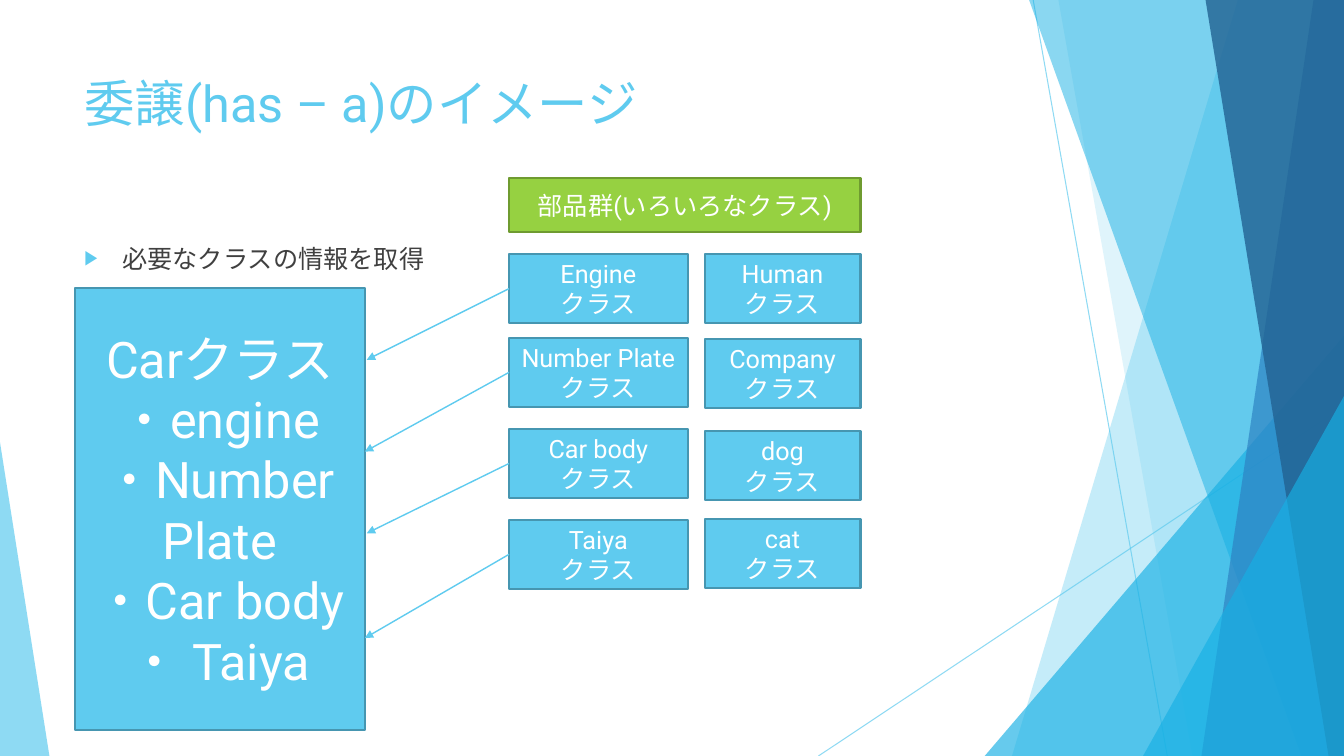
from lxml.etree import SubElement
from pptx import Presentation
from pptx.dml.color import RGBColor
from pptx.enum.shapes import MSO_CONNECTOR, MSO_SHAPE
from pptx.enum.text import MSO_ANCHOR, PP_ALIGN
from pptx.oxml.ns import qn
from pptx.util import Pt

# Content
TITLE = "委譲(has – a)のイメージ"
LEAD = "必要なクラスの情報を取得"
CAR_LINES = ["Carクラス", "・engine", "・Number Plate", "・Car body", "・ Taiya"]
PARTS_HEADING = "部品群(いろいろなクラス)"
CLASS_WORD = "クラス"
# Used part, its top, where its arrow ends
USED_PARTS = [
    ("Engine", 181.4, (262, 257)),
    ("Number Plate", 241.2, (260.6, 322.6)),
    ("Car body", 306.3, (262, 380.9)),
    ("Taiya", 371.2, (260.6, 455.8)),
]
OTHER_CLASSES = [("Human", 181.4), ("Company", 241.9), ("dog", 308), ("cat", 370.6)]

# Look
FONT = "Roboto"
SKY = RGBColor(0x5F, 0xCB, 0xEF)
SKY_EDGE = RGBColor(0x46, 0x96, 0xB1)
CYAN = RGBColor(0x17, 0xB0, 0xE4)
BLUE = RGBColor(0x2E, 0x83, 0xC3)
NAVY = RGBColor(0x22, 0x62, 0x92)
GREEN = RGBColor(0x96, 0xD1, 0x41)
GREEN_EDGE = RGBColor(0x6F, 0x9B, 0x30)
WHITE = RGBColor(0xFF, 0xFF, 0xFF)
GREY = RGBColor(0x40, 0x40, 0x40)

# Layout in points
WIDTH, HEIGHT = 960, 540
MARGIN = 53.3
CAR_BOX = (MARGIN, 205.9, 207.4, 315.4)
USED_LEFT, USED_WIDTH = 363.6, 127.6
OTHER_LEFT, OTHER_WIDTH = 503.3, 111.4
CLASS_HEIGHT = 49.5
HEADING_BOX = (USED_LEFT, 127.3, OTHER_LEFT + OTHER_WIDTH - USED_LEFT, 38.5)

# Background: hairlines, then panels from back to front
HAIRLINES = [((738, 0), (833.8, HEIGHT)), ((WIDTH, 290.2), (584.6, HEIGHT))]
# Panels reach the right edge: top-left x, bottom-left x, colour, opacity %
# Triangles: box, apex position, colour, opacity %
BACKDROP = [
    ("panel", 884.2, 722.9, SKY, 36),
    ("panel", 756, 851.8, SKY, 20),
    ("triangle", (703.4, 239.8, 256.6, 300.2), 1, CYAN, 66),
    ("panel", 735.1, 929.5, CYAN, 50),
    ("panel", 938.2, 858.2, BLUE, 70),
    ("panel", 861.1, 949, NAVY, 80),
    ("triangle", (816.5, 283, 143.5, 257), 1, CYAN, 66),
    ("triangle", (0, 316, 35.3, 224), 0, SKY, 70),
]

prs = Presentation()
prs.slide_width, prs.slide_height = Pt(WIDTH), Pt(HEIGHT)
slide = prs.slides.add_slide(prs.slide_layouts[6])
shapes = slide.shapes


def set_opacity(props, percent):
    color = next(props.iter(qn("a:srgbClr")))
    SubElement(color, qn("a:alpha"), val=str(percent * 1000))


def add_line(start, end, weight):
    line = shapes.add_connector(MSO_CONNECTOR.STRAIGHT, *map(Pt, start + end))
    line.line.color.rgb = SKY
    line.line.width = Pt(weight)
    SubElement(line._element.spPr, qn("a:effectLst"))
    return line


def write(frame, lines, size, color, align):
    frame.word_wrap = True
    for index, text in enumerate(lines):
        paragraph = frame.paragraphs[0] if index == 0 else frame.add_paragraph()
        paragraph.alignment = align
        run = paragraph.add_run()
        run.text = text
        run.font.size = Pt(size)
        run.font.name = FONT
        run.font.color.rgb = color
        SubElement(run.font._element, qn("a:ea"), typeface=FONT)


def add_box(box, lines, size=18, fill=SKY, edge=SKY_EDGE):
    rect = shapes.add_shape(MSO_SHAPE.RECTANGLE, *map(Pt, box))
    rect.shadow.inherit = False
    rect.fill.solid()
    rect.fill.fore_color.rgb = fill
    rect.line.color.rgb = edge
    rect.line.width = Pt(1.5)
    rect.text_frame.vertical_anchor = MSO_ANCHOR.MIDDLE
    write(rect.text_frame, lines, size, WHITE, PP_ALIGN.CENTER)
    return rect


def add_text(box, text, size, color):
    frame = shapes.add_textbox(*map(Pt, box)).text_frame
    write(frame, [text], size, color, PP_ALIGN.LEFT)
    return frame.paragraphs[0]


# Backdrop
for start, end in HAIRLINES:
    hairline = add_line(start, end, 0.75)
    set_opacity(hairline._element.spPr, 70)

for kind, first, second, color, opacity in BACKDROP:
    if kind == "panel":
        outline = shapes.build_freeform(Pt(first), 0)
        corners = [(WIDTH, 0), (WIDTH, HEIGHT), (second, HEIGHT)]
        outline.add_line_segments([(Pt(x), Pt(y)) for x, y in corners])
        facet = outline.convert_to_shape()
    else:
        facet = shapes.add_shape(MSO_SHAPE.ISOSCELES_TRIANGLE, *map(Pt, first))
        facet.adjustments[0] = second
    facet.shadow.inherit = False
    facet.fill.solid()
    facet.fill.fore_color.rgb = color
    facet.line.fill.background()
    set_opacity(facet._element.spPr, opacity)

# Title and lead line
add_text((MARGIN, 48.2, 676.8, 103.7), TITLE, 36, SKY)
lead = add_text((MARGIN, 169.9, 676.8, 32), LEAD, 18, GREY)
lead_props = lead._p.get_or_add_pPr()
lead_props.set("marL", str(Pt(27)))
lead_props.set("indent", str(Pt(-27)))
bullet_color = SubElement(lead_props, qn("a:buClr"))
SubElement(bullet_color, qn("a:srgbClr"), val=str(SKY))
SubElement(lead_props, qn("a:buSzPct"), val="80000")
SubElement(lead_props, qn("a:buFont"), typeface=FONT)
SubElement(lead_props, qn("a:buChar"), char="▶")

# Car class and the class boxes
add_box(CAR_BOX, CAR_LINES, size=36)
add_box(HEADING_BOX, [PARTS_HEADING], fill=GREEN, edge=GREEN_EDGE)
for name, top in OTHER_CLASSES:
    add_box((OTHER_LEFT, top, OTHER_WIDTH, CLASS_HEIGHT), [name, CLASS_WORD])

# Used parts, each with an arrow to the car
for name, top, target in USED_PARTS:
    part = add_box((USED_LEFT, top, USED_WIDTH, CLASS_HEIGHT), [name, CLASS_WORD])
    arrow = add_line((USED_LEFT, top + CLASS_HEIGHT / 2), target, 1)
    arrow.begin_connect(part, 1)
    SubElement(arrow.line._get_or_add_ln(), qn("a:tailEnd"), type="triangle")

prs.save("out.pptx")
